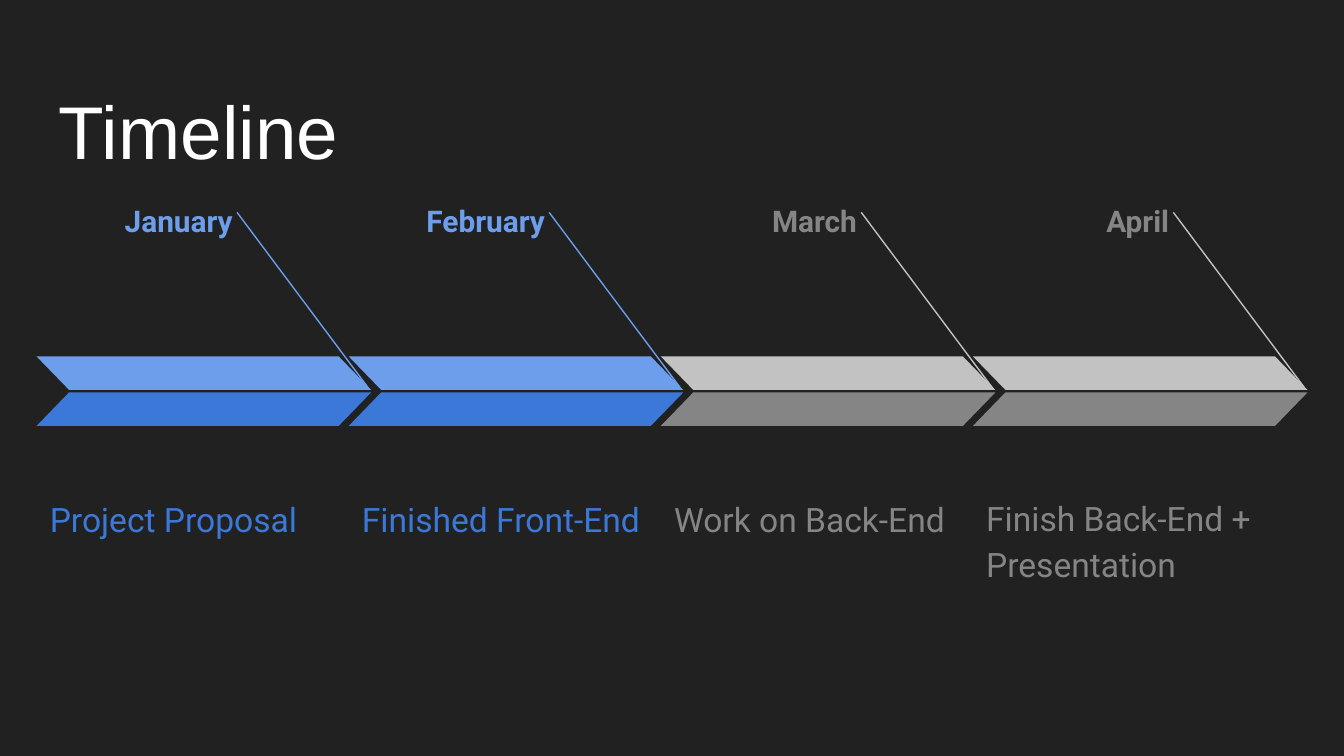
from dataclasses import dataclass

from lxml.etree import SubElement
from pptx import Presentation
from pptx.dml.color import RGBColor
from pptx.enum.shapes import MSO_CONNECTOR, MSO_SHAPE
from pptx.enum.text import MSO_ANCHOR, PP_ALIGN
from pptx.oxml.ns import qn
from pptx.util import Pt

BLUE_LIGHT, BLUE_DARK = "6D9EEB", "3C78D8"
GRAY_LIGHT, GRAY_DARK = "C2C2C2", "858585"
FIRST_LEFT, PITCH = 19.6, 167.2
ARROW_WIDTH, ARROW_HEIGHT = 179.3, 18


@dataclass
class Month:
    name: str
    task: str
    light: str
    dark: str
    name_color: str
    name_width: float
    task_height: float = 56.2


MONTHS = [
    Month("January", "Project Proposal", BLUE_LIGHT, BLUE_DARK, BLUE_LIGHT, 88),
    Month("February", "Finished Front-End", BLUE_LIGHT, BLUE_DARK, BLUE_LIGHT, 99),
    Month("March", "Work on Back-End", GRAY_LIGHT, GRAY_DARK, GRAY_DARK, 61),
    Month("April", "Finish Back-End + Presentation", GRAY_LIGHT, GRAY_DARK,
          GRAY_DARK, 61, 80.2),
]


def color(value: str) -> RGBColor:
    return RGBColor.from_string(value)


def add_text(page, text: str, left: float, top: float, width: float, height: float,
             font: str, size: float, ink: str, bold: bool = False):
    box = page.shapes.add_textbox(Pt(left), Pt(top), Pt(width), Pt(height))
    frame = box.text_frame
    frame.text = text
    frame.word_wrap = True
    frame.margin_left = frame.margin_right = Pt(7.2)
    frame.margin_top = frame.margin_bottom = Pt(7.2)
    para = frame.paragraphs[0]
    span = para.runs[0]
    span.font.name = font
    span.font.size = Pt(size)
    span.font.bold = bold
    span.font.color.rgb = color(ink)
    return frame, para


def add_arrow_half(page, left: float, top: float, fill: str, flipped: bool) -> None:
    half = page.shapes.add_shape(MSO_SHAPE.PARALLELOGRAM, Pt(left), Pt(top),
                                 Pt(ARROW_WIDTH), Pt(ARROW_HEIGHT))
    half.adjustments[0] = 0.97
    half.shadow.inherit = False
    half.fill.solid()
    half.fill.fore_color.rgb = color(fill)
    half.line.fill.background()
    if flipped:
        half.element.spPr.get_or_add_xfrm().set("flipH", "1")


def add_pointer(page, left: float, ink: str) -> None:
    pointer = page.shapes.add_connector(MSO_CONNECTOR.STRAIGHT, Pt(left + 107.4),
                                        Pt(113.8), Pt(left + 177.4), Pt(207.4))
    pointer.line.color.rgb = color(ink)
    pointer.line.width = Pt(0.75)
    SubElement(pointer.element.spPr, qn("a:effectLst"))


def add_month(page, month: Month, left: float) -> None:
    _, para = add_text(page, month.name, left + 112.2 - month.name_width, 98.6,
                       month.name_width, 30.2, "Roboto", 16, month.name_color, True)
    para.alignment = PP_ALIGN.RIGHT
    para.line_spacing = 1.15
    para.space_after = Pt(16)
    frame, para = add_text(page, month.task, left, 240, ARROW_WIDTH,
                           month.task_height, "Roboto", 18, month.dark)
    frame.vertical_anchor = MSO_ANCHOR.BOTTOM
    para.line_spacing = 1.15
    add_pointer(page, left, month.light)
    add_arrow_half(page, left, 190.9, month.light, True)
    add_arrow_half(page, left, 210.2, month.dark, False)


deck = Presentation()
deck.slide_width, deck.slide_height = Pt(720), Pt(405)
page = deck.slides.add_slide(deck.slide_layouts[6])
page.background.fill.solid()
page.background.fill.fore_color.rgb = color("212121")

title_frame, _ = add_text(page, "Timeline", 24.5, 35.3, 671, 45.4, "Arial", 40, "FFFFFF")
title_frame.margin_top = Pt(10.4)
for index, month in enumerate(MONTHS):
    add_month(page, month, FIRST_LEFT + index * PITCH)

deck.save("out.pptx")
